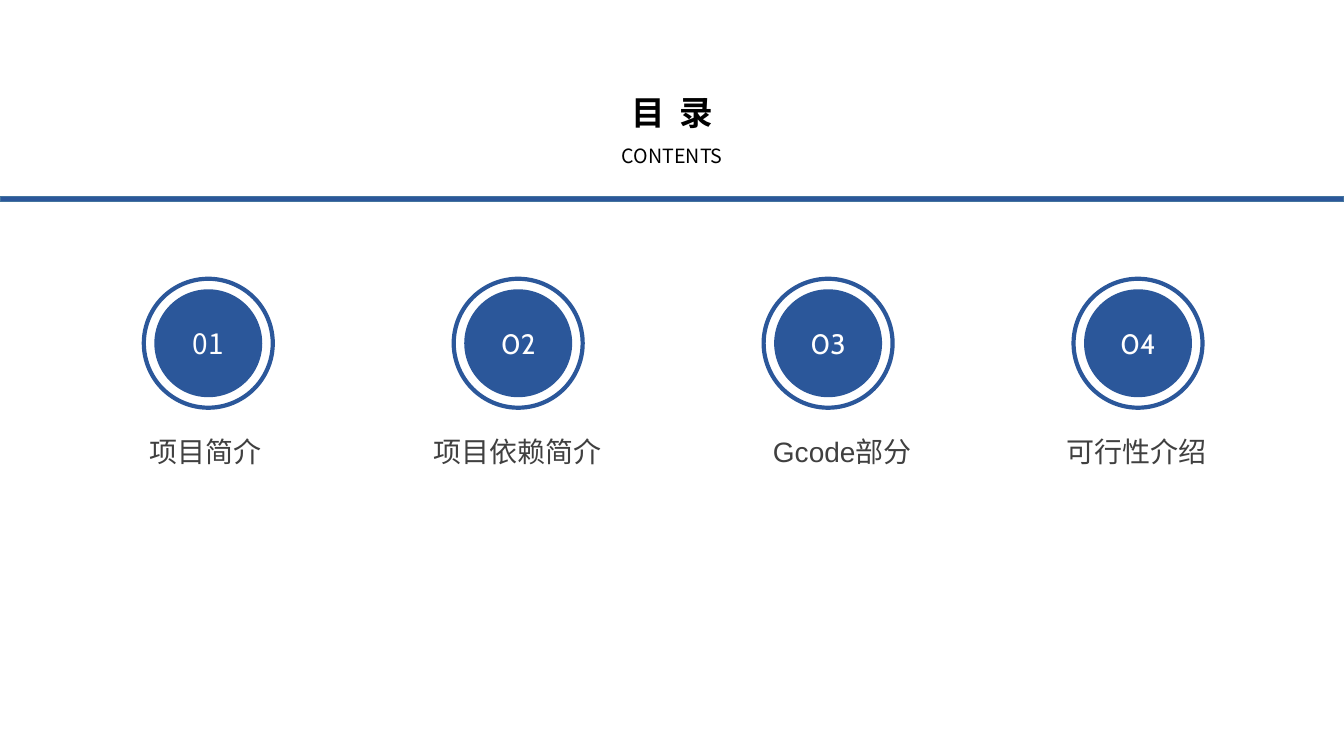
from dataclasses import dataclass

from pptx import Presentation
from pptx import util as u
from pptx.dml.color import RGBColor
from pptx.enum import shapes, text
from pptx.oxml.ns import qn

BLUE = RGBColor(0x2B, 0x57, 0x9A)
BAR_EDGE = RGBColor(0x43, 0x73, 0x9E)
GREY = RGBColor(0x40, 0x40, 0x40)
BLACK = RGBColor(0, 0, 0)
WHITE = RGBColor(0xFF, 0xFF, 0xFF)

CJK_FONT = "Noto Sans CJK SC"
SLIDE_WIDTH, SLIDE_HEIGHT = 33.87, 19.05
FIRST_CENTER_X, CENTER_Y, PITCH = 5.25, 8.65, 7.81
DISC_SIZE, RING_SIZE = 2.72, 3.25
LABEL_TOP, LABEL_HEIGHT = 10.82, 1.12


@dataclass
class Chapter:
    number: str
    title: str
    label_left: float
    label_width: float
    number_font: str = "Cabin"


CHAPTERS = [
    Chapter("01", "项目简介", 3.51, 3.35, CJK_FONT),
    Chapter("02", "项目依赖简介", 10.67, 4.78),
    Chapter("03", "Gcode部分", 19.23, 4.04),
    Chapter("04", "可行性介绍", 26.62, 4.06),
]


def format_run(run, size: float, font_name: str, color: RGBColor, bold: bool = False) -> None:
    run.font.size = u.Pt(size)
    run.font.name = font_name
    run.font.bold = bold
    run.font.color.rgb = color
    east_asian = run.font._element.makeelement(qn("a:ea"), {"typeface": font_name})
    run.font._element.find(qn("a:latin")).addnext(east_asian)


def add_text_box(slide, left: float, top: float, width: float, height: float, content: str):
    box = slide.shapes.add_textbox(u.Cm(left), u.Cm(top), u.Cm(width), u.Cm(height))
    box.text_frame.word_wrap = True
    box.text_frame.text = content
    return box.text_frame


def add_heading(slide) -> None:
    frame = add_text_box(slide, 14.86, 1.68, 4.17, 2.69, "目 录\nCONTENTS")
    for paragraph, size, bold in zip(frame.paragraphs, (24, 14), (True, False)):
        paragraph.alignment = text.PP_ALIGN.CENTER
        paragraph.line_spacing = 1.5
        format_run(paragraph.runs[0], size, CJK_FONT, BLACK, bold)
    # Letter spacing widens the gap between the two title characters
    frame.paragraphs[0].runs[0].font._element.set("spc", "270")


def add_circle(group, center_x: float, size: float):
    circle = group.shapes.add_shape(
        shapes.MSO_SHAPE.OVAL,
        u.Cm(center_x - size / 2), u.Cm(CENTER_Y - size / 2), u.Cm(size), u.Cm(size))
    circle.shadow.inherit = False
    return circle


def add_badge(slide, center_x: float, chapter: Chapter) -> None:
    group = slide.shapes.add_group_shape()
    disc = add_circle(group, center_x, DISC_SIZE)
    disc.fill.solid()
    disc.fill.fore_color.rgb = BLUE
    disc.line.fill.background()
    disc.text_frame.text = chapter.number
    disc.text_frame.vertical_anchor = text.MSO_ANCHOR.MIDDLE
    paragraph = disc.text_frame.paragraphs[0]
    paragraph.alignment = text.PP_ALIGN.CENTER
    format_run(paragraph.runs[0], 20, chapter.number_font, WHITE)

    ring = add_circle(group, center_x, RING_SIZE)
    ring.fill.background()
    ring.line.color.rgb = BLUE
    ring.line.width = u.Pt(3)


def add_label(slide, chapter: Chapter) -> None:
    frame = add_text_box(slide, chapter.label_left, LABEL_TOP,
                         chapter.label_width, LABEL_HEIGHT, chapter.title)
    format_run(frame.paragraphs[0].runs[0], 20, "Arial", GREY)


def add_divider(slide) -> None:
    bar = slide.shapes.add_shape(
        shapes.MSO_SHAPE.RECTANGLE, 0, u.Cm(4.95), u.Cm(SLIDE_WIDTH), u.Cm(0.13))
    bar.shadow.inherit = False
    bar.fill.solid()
    bar.fill.fore_color.rgb = BLUE
    bar.line.color.rgb = BAR_EDGE
    bar.line.width = u.Pt(1)


def main() -> None:
    presentation = Presentation()
    presentation.slide_width = u.Cm(SLIDE_WIDTH)
    presentation.slide_height = u.Cm(SLIDE_HEIGHT)
    slide = presentation.slides.add_slide(presentation.slide_layouts[6])

    # Heading
    add_heading(slide)

    # Numbered badges and chapter titles
    for index, chapter in enumerate(CHAPTERS):
        add_badge(slide, FIRST_CENTER_X + index * PITCH, chapter)
    for chapter in CHAPTERS:
        add_label(slide, chapter)

    # Line below the heading
    add_divider(slide)

    presentation.save("out.pptx")


if __name__ == "__main__":
    main()
